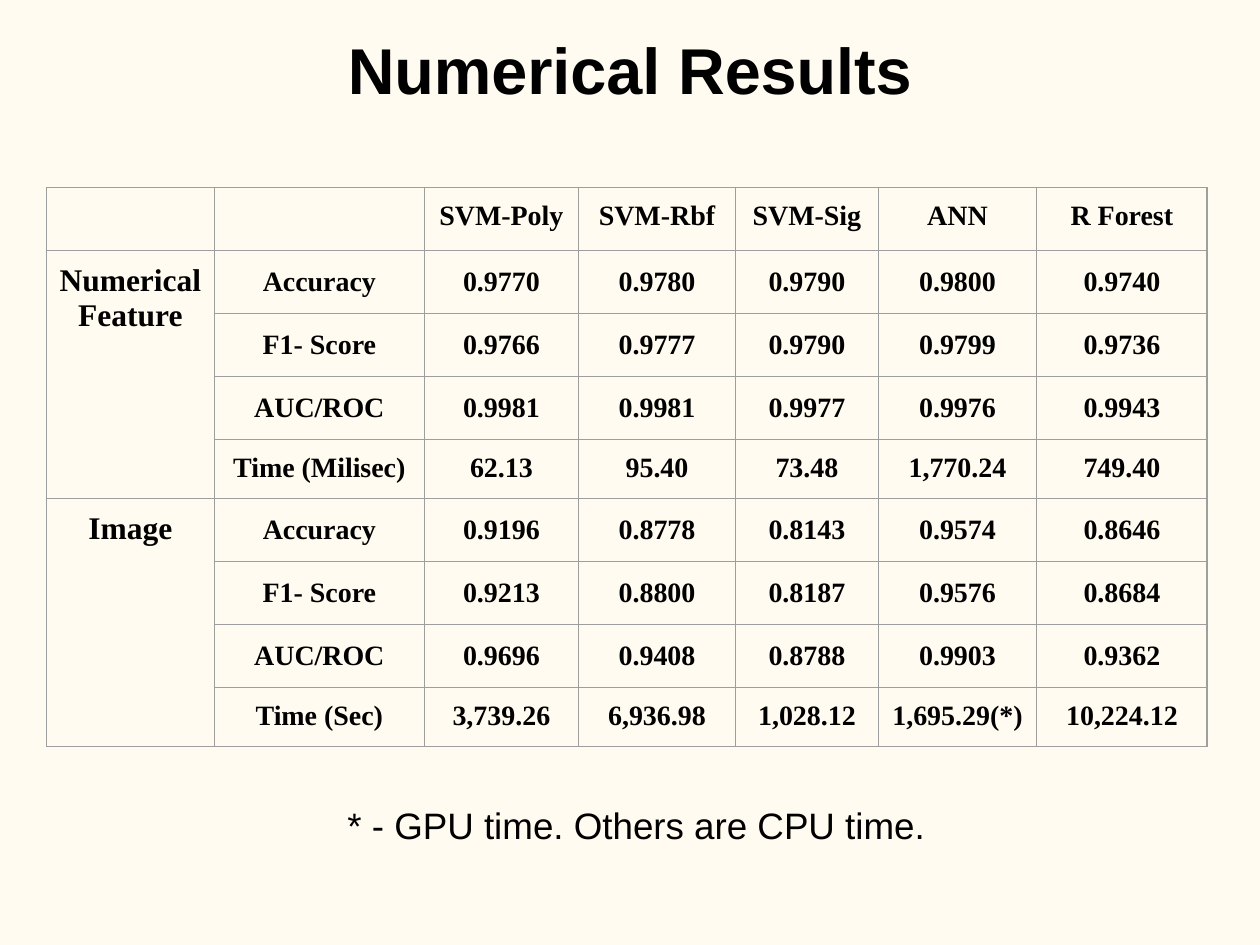
from lxml import etree
from pptx import Presentation
from pptx.dml.color import RGBColor
from pptx.enum.text import MSO_ANCHOR, PP_ALIGN
from pptx.oxml.ns import qn
from pptx.util import Inches, Pt

TOP, MIDDLE, BOTTOM = MSO_ANCHOR.TOP, MSO_ANCHOR.MIDDLE, MSO_ANCHOR.BOTTOM
CENTER = PP_ALIGN.CENTER

TITLE = "Numerical Results"
NOTE = "* - GPU time. Others are CPU time."
MODELS = ["SVM-Poly", "SVM-Rbf", "SVM-Sig", "ANN", "R Forest"]
GROUPS = [
    ("Numerical Feature", [
        ("Accuracy", "0.9770", "0.9780", "0.9790", "0.9800", "0.9740"),
        ("F1- Score", "0.9766", "0.9777", "0.9790", "0.9799", "0.9736"),
        ("AUC/ROC", "0.9981", "0.9981", "0.9977", "0.9976", "0.9943"),
        ("Time (Milisec)", "62.13", "95.40", "73.48", "1,770.24", "749.40"),
    ]),
    ("Image", [
        ("Accuracy", "0.9196", "0.8778", "0.8143", "0.9574", "0.8646"),
        ("F1- Score", "0.9213", "0.8800", "0.8187", "0.9576", "0.8684"),
        ("AUC/ROC", "0.9696", "0.9408", "0.8788", "0.9903", "0.9362"),
        ("Time (Sec)", "3,739.26", "6,936.98", "1,028.12", "1,695.29(*)", "10,224.12"),
    ]),
]
COLS = [1.33, 1.67, 1.22, 1.25, 1.13, 1.26, 1.35]
HEADER_HEIGHT = 0.48
GROUP_HEIGHTS = [0.5, 0.5, 0.5, 0.44]
BLACK, CREAM, GRAY = "000000", "FFFBF0", "9E9E9E"


def rgb(color):
    return RGBColor.from_string(color)


def set_margins(target, inset):
    target.margin_left = target.margin_right = Inches(inset)
    target.margin_top = target.margin_bottom = Inches(inset)


def add_text(tf, text, size, font, bold=False):
    p = tf.paragraphs[0]
    p.alignment = CENTER
    r = p.add_run()
    r.text = text
    r.font.size = Pt(size)
    r.font.name = font
    r.font.bold = bold
    r.font.color.rgb = rgb(BLACK)
    return p


def add_box(s, box, text, size, anchor, bold=False):
    tf = s.shapes.add_textbox(*map(Inches, box)).text_frame
    tf.word_wrap = True
    tf.vertical_anchor = anchor
    set_margins(tf, 0.12)
    return add_text(tf, text, size, "Arial", bold)


def set_borders(cell):
    tcPr = cell._tc.get_or_add_tcPr()
    for i, side in enumerate(("a:lnL", "a:lnR", "a:lnT", "a:lnB")):
        ln = etree.Element(qn(side), w=str(Pt(0.75)))
        fill = etree.SubElement(ln, qn("a:solidFill"))
        etree.SubElement(fill, qn("a:srgbClr"), val=GRAY)
        tcPr.insert(i, ln)


def fill_cell(cell, text, size, anchor):
    cell.fill.background()
    cell.vertical_anchor = anchor
    set_margins(cell, 0.1)
    set_borders(cell)
    add_text(cell.text_frame, text, size, "Times New Roman", True)


def add_results(s):
    rows = [["", ""] + MODELS]
    for name, metrics in GROUPS:
        rows += [[name if i == 0 else "", *m] for i, m in enumerate(metrics)]
    heights = [HEADER_HEIGHT] + GROUP_HEIGHTS * len(GROUPS)
    frame = s.shapes.add_table(len(rows), len(COLS), Inches(0.37), Inches(1.49),
                               Inches(sum(COLS)), Inches(sum(heights)))
    table = frame.table
    table.first_row = table.horz_banding = False
    for col, width in zip(table.columns, COLS):
        col.width = Inches(width)
    for r, (row, height) in enumerate(zip(rows, heights)):
        table.rows[r].height = Inches(height)
        for c, text in enumerate(row):
            is_group = r > 0 and c == 0
            is_score = c > 0 and height == 0.5
            fill_cell(table.cell(r, c), text, 18 if is_group else 16,
                      MIDDLE if is_score else TOP)
    span = len(GROUP_HEIGHTS)
    for first in range(1, len(rows), span):
        table.cell(first, 0).merge(table.cell(first + span - 1, 0))


def main():
    """Build the slide of numerical results."""
    prs = Presentation()
    prs.slide_width, prs.slide_height = Inches(10), Inches(7.5)
    s = prs.slides.add_slide(prs.slide_layouts[6])
    s.background.fill.solid()
    s.background.fill.fore_color.rgb = rgb(CREAM)
    add_box(s, (0, 0.08, 10, 0.89), TITLE, 37, BOTTOM, True)
    add_results(s)
    p = add_box(s, (0.39, 6.2, 9.32, 0.82), NOTE, 21, TOP)
    p.line_spacing = 1.15
    p.space_after = Pt(20)
    prs.save("out.pptx")


if __name__ == "__main__":
    main()
